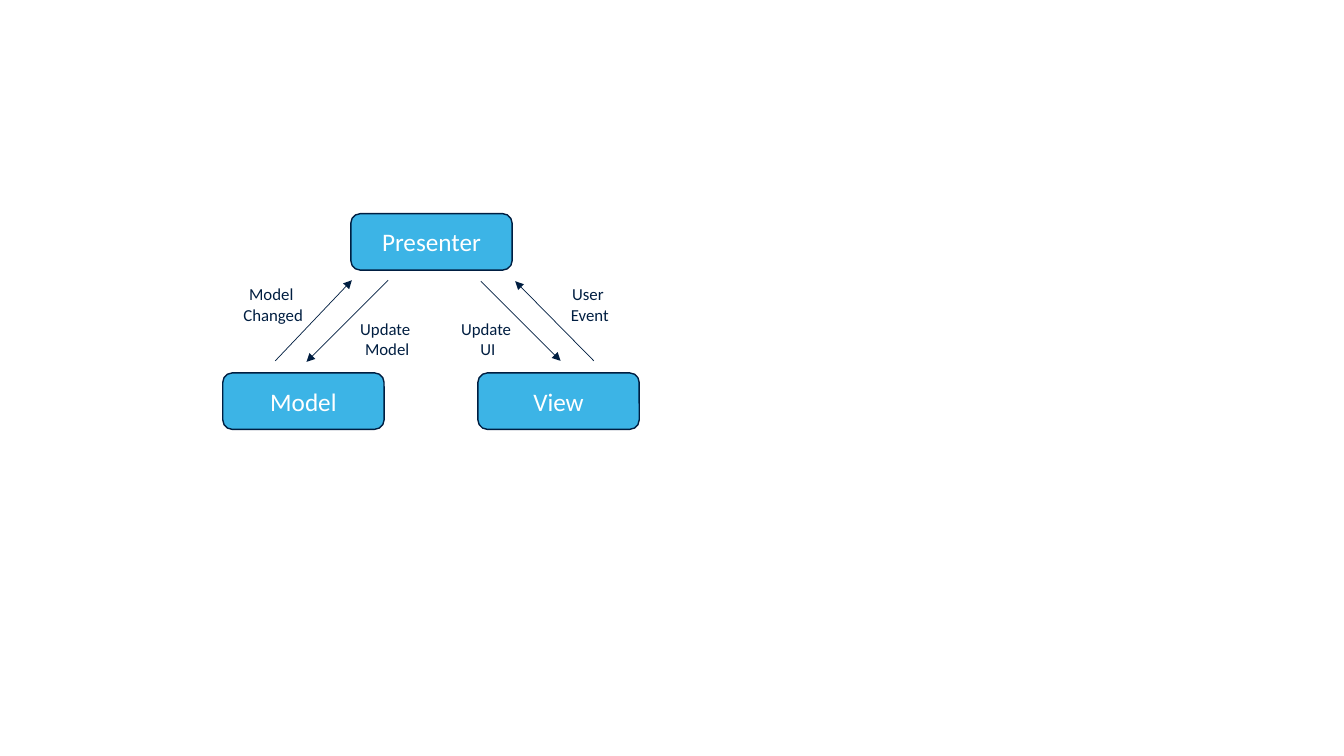
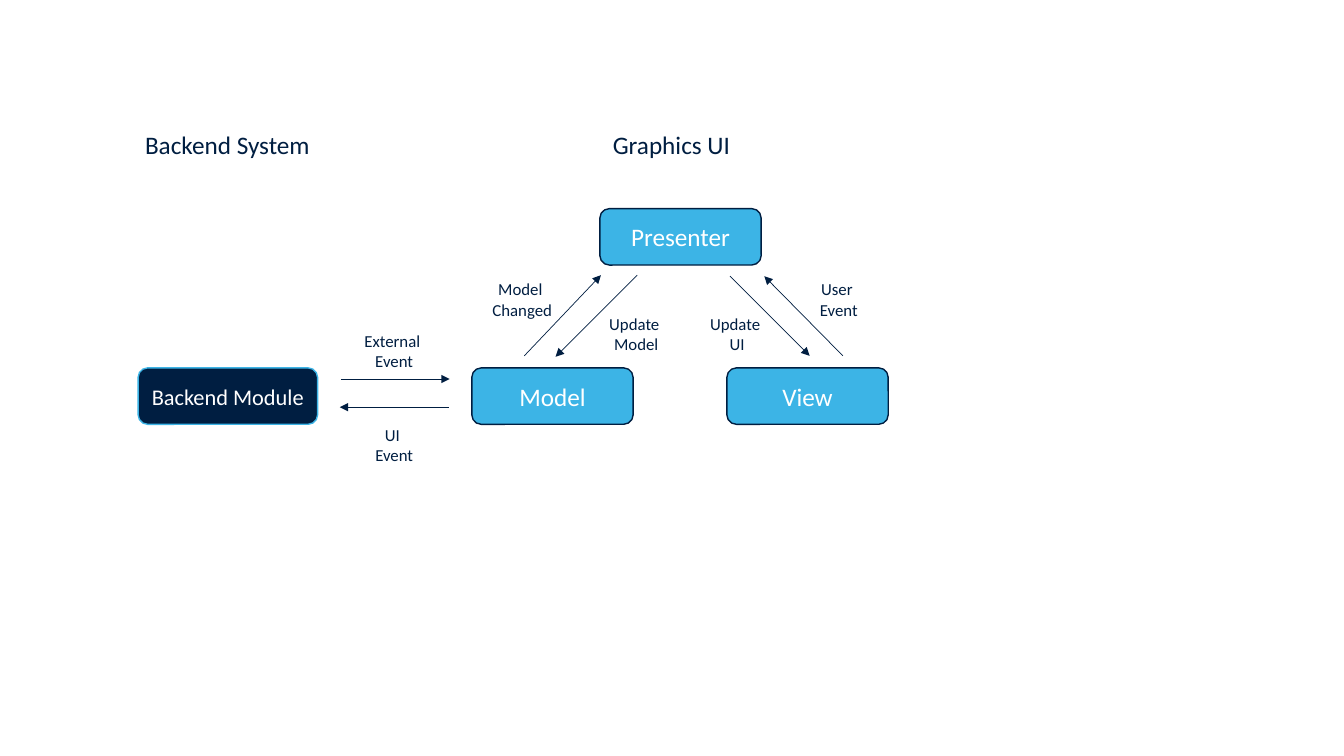
from dataclasses import dataclass

from pptx import Presentation, util as u
from pptx.dml.color import RGBColor
from pptx.enum import shapes, text
from pptx.oxml import ns, xmlchemy

CELL = u.Inches(0.1)
FONT = "Calibri"
NAVY, SKY, WHITE = "001E41", "3CB4E6", "FFFFFF"
NODE_WIDTH, NODE_HEIGHT = 16, 5.6
LABEL_HEIGHT, HEADING_HEIGHT = 5, 4


@dataclass
class Box:
    column: float
    row: float

    def point(self, column, row):
        return round((self.column + column) * CELL), round((self.row + row) * CELL)


def cells(*counts):
    return [round(count * CELL) for count in counts]


def color(target, value):
    target.rgb = RGBColor.from_string(value)


def fill_text(frame, lines, size, ink, alignment):
    for index, line in enumerate(lines):
        paragraph = frame.paragraphs[0] if index == 0 else frame.add_paragraph()
        paragraph.alignment = alignment
        run = paragraph.add_run()
        run.text = line
        run.font.name = FONT
        run.font.size = u.Pt(size)
        color(run.font.color, ink)


def add_node(slide, box, column, row, name, width=NODE_WIDTH, size=18, fill=SKY, outline=NAVY):
    shape = slide.shapes.add_shape(shapes.MSO_SHAPE.ROUNDED_RECTANGLE,
                                   *box.point(column, row), *cells(width, NODE_HEIGHT))
    shape.shadow.inherit = False
    shape.fill.solid()
    color(shape.fill.fore_color, fill)
    color(shape.line.color, outline)
    shape.line.width = u.Pt(1)
    shape.text_frame.vertical_anchor = text.MSO_ANCHOR.MIDDLE
    fill_text(shape.text_frame, [name], size, WHITE, text.PP_ALIGN.CENTER)


def add_arrow(slide, box, start, end):
    connector = slide.shapes.add_connector(shapes.MSO_CONNECTOR.STRAIGHT,
                                           *box.point(*start), *box.point(*end))
    color(connector.line.color, NAVY)
    connector.line.width = u.Pt(0.5)
    properties = connector.element.spPr
    head = xmlchemy.OxmlElement("a:tailEnd")
    head.set("type", "triangle")
    properties.find(ns.qn("a:ln")).append(head)
    properties.append(xmlchemy.OxmlElement("a:effectLst"))


def add_text(slide, box, column, row, width, height, lines, size, alignment):
    shape = slide.shapes.add_textbox(*box.point(column, row), *cells(width, height))
    shape.text_frame.word_wrap = False
    shape.text_frame.auto_size = text.MSO_AUTO_SIZE.SHAPE_TO_FIT_TEXT
    fill_text(shape.text_frame, lines, size, NAVY, alignment)


def add_label(slide, box, column, row, width, *lines):
    add_text(slide, box, column, row, width, LABEL_HEIGHT, lines, 12, text.PP_ALIGN.CENTER)


def add_heading(slide, box, width, title):
    add_text(slide, box, 0, 0, width, HEADING_HEIGHT, [title], 18, text.PP_ALIGN.LEFT)


def draw_presenter_triad(slide, box):
    for column, row, name in ((0, 15.8, "Model"), (12.7, 0, "Presenter"), (25.3, 15.8, "View")):
        add_node(slide, box, column, row, name)
    for start, end in (((5.2, 14.6), (12.8, 6.6)), ((36.8, 14.6), (29, 6.7)),
                       ((16.4, 6.6), (8.3, 14.7)), ((25.6, 6.7), (33.5, 14.6))):
        add_arrow(slide, box, start, end)
    for label in ((1, 6.5, 8, "Model ", "Changed"), (12.6, 9.95, 7.4, "Update ", "Model"),
                  (22.6, 9.95, 7.4, "Update ", "UI"), (33.5, 6.5, 5.8, "User ", "Event")):
        add_label(slide, box, *label)


def draw_backend(slide, box):
    add_node(slide, box, 0, 4.2, "Backend Module", 17.8, 16, NAVY, SKY)
    add_arrow(slide, box, (20.1, 5.3), (30.9, 5.3))
    add_arrow(slide, box, (30.8, 8.1), (20, 8.1))
    add_label(slide, box, 21.4, 0, 8, "External ", "Event")
    add_label(slide, box, 22.5, 9.3, 5.8, "UI ", "Event")


def add_slide(presentation):
    return presentation.slides.add_slide(presentation.slide_layouts[6])


def build_pattern_slide(presentation):
    draw_presenter_triad(add_slide(presentation), Box(22.1, 21.2))


def build_backend_slide(presentation):
    slide = add_slide(presentation)
    draw_presenter_triad(slide, Box(46.8, 20.7))
    draw_backend(slide, Box(13.7, 32.3))
    add_heading(slide, Box(13.4, 12.3), 18.5, "Backend System")
    add_heading(slide, Box(59.8, 12.3), 15, "Graphics UI")


presentation = Presentation()
presentation.slide_width = u.Inches(13.33)
presentation.slide_height = u.Inches(7.5)
build_pattern_slide(presentation)
build_backend_slide(presentation)
presentation.save("out.pptx")
